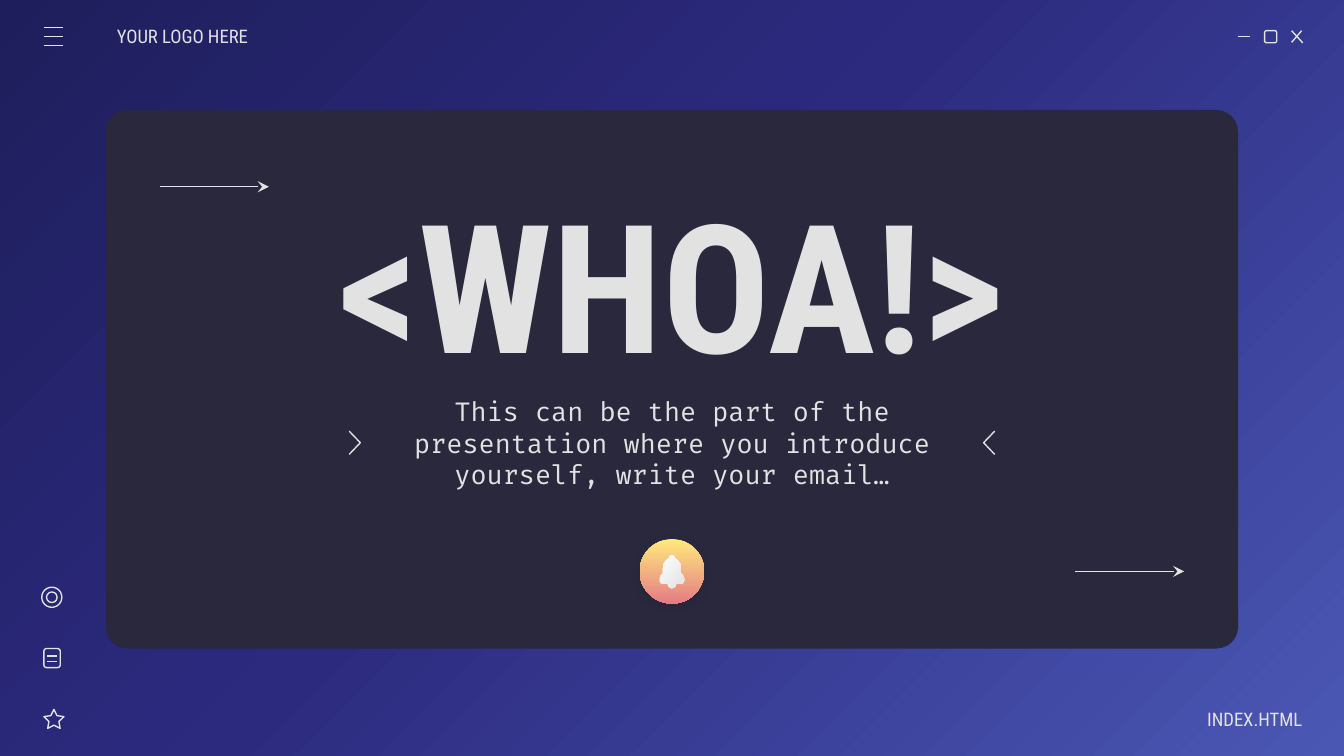
"""Build the "WHOA!" title slide with its window frame and icons."""
from copy import deepcopy

from lxml.etree import Element, SubElement
from pptx import Presentation
from pptx.dml.color import RGBColor
from pptx.enum.shapes import MSO_CONNECTOR as Link, MSO_SHAPE as Kind
from pptx.enum.text import MSO_ANCHOR as Anchor, PP_ALIGN as Align
from pptx.oxml.ns import qn
from pptx.util import Cm, Pt

LIGHT, DARK = "E2E2E2", "29283D"
SANS, MONO = "Roboto Condensed", "Fira Code"
BACK = [(0, "1E1E5C"), (0.46, "2C2A7F"), (1, "4A58B4")]
GLOW = [(0, "FFEA7D"), (1, "E57C85")]
STEEL = [(0, "FFFFFF"), (1, LIGHT)]

TEXTS = [
    ("YOUR LOGO HERE", (2.21, 0.3, 2.97, 0.76), dict(left=0)),
    ("INDEX.HTML", (21.64, 13.21, 2.97, 0.76), dict(right=0, align=Align.RIGHT)),
    ("<WHOA!>", (4.98, 3.53, 15.42, 3.61),
     dict(size=96, bold=True, align=Align.CENTER)),
    ("This can be the part of the presentation where you introduce "
     "yourself, write your email…", (6.81, 7.14, 11.79, 2.46),
     dict(size=14, font=MONO, align=Align.CENTER)),
]
ICONS = [
    (Kind.ROUNDED_RECTANGLE, (23.9, 0.58, 0.23, 0.23)),
    (Kind.STAR_5_POINT, (0.83, 13.41, 0.38, 0.36)),
    (Kind.ROUNDED_RECTANGLE, (0.83, 12.26, 0.31, 0.36)),
    (Kind.OVAL, (0.79, 11.1, 0.38, 0.38)),
    (Kind.OVAL, (0.88, 11.19, 0.2, 0.2)),
]
CLOSE = [(23.39, 0.69, 23.62, 0.69), (24.41, 0.58, 24.62, 0.81),
         (24.6, 0.58, 24.41, 0.8)]
MENU = [(0.83, y, 1.2, y) for y in (0.52, 0.69, 0.86)]
NOTE = [(0.89, y, 1.07, y) for y in (12.4, 12.5)]
ARROWS = [(3.02, 3.53, 5.08, 3.53), (20.32, 10.8, 22.38, 10.8)]
CHEVRONS = [(6.6, 6.81), (18.8, 18.59)]
MID = 12.7
BELL = [(0, 10.49), (0.03, 10.5), (0.05, 10.53), (0.06, 10.55), (0.12, 10.6),
        (0.16, 10.66), (0.17, 10.74), (0.17, 10.84), (0.21, 10.88),
        (0.23, 10.94), (0.23, 10.98), (0.22, 11.01), (0.2, 11.03)]
CLAP = [(0.08, 11.05), (0.06, 11.09), (0.03, 11.11), (0, 11.12)]

deck = Presentation()
deck.slide_width, deck.slide_height = Cm(25.4), Cm(14.29)
slide = deck.slides.add_slide(deck.slide_layouts[6])
shapes = slide.shapes


def tint(code):
    return RGBColor.from_string(code)


def blend(fill, stops):
    for stop, (place, code) in zip(fill.gradient_stops, stops):
        stop.position, stop.color.rgb = place, tint(code)


def ramp(fill, stops, angle):
    fill.gradient()
    blend(fill, stops)
    fill.gradient_angle = 360 - angle


def backdrop():
    fill = slide.background.fill
    fill.gradient()
    root = slide._element
    marks = next(root.iter(qn("a:gsLst")))
    marks.append(deepcopy(marks[-1]))
    blend(fill, BACK)
    lin = next(root.iter(qn("a:lin")))
    ring = Element(qn("a:path"), path="circle")
    SubElement(ring, qn("a:fillToRect"), r="100000", b="100000")
    lin.getparent().replace(lin, ring)


def stroke(line):
    line.color.rgb, line.width = tint(LIGHT), Pt(0.75)


def outline(shape):
    shape.shadow.inherit = False
    shape.fill.background()
    stroke(shape.line)


def solid(kind, box):
    shape = shapes.add_shape(kind, *map(Cm, box))
    shape.shadow.inherit = False
    shape.line.fill.background()
    return shape


def rule(ends, arrow=False):
    link = shapes.add_connector(Link.STRAIGHT, *map(Cm, ends))
    stroke(link.line)
    props = link._element.spPr
    if arrow:
        SubElement(props.find(qn("a:ln")), qn("a:tailEnd"), type="stealth")
    SubElement(props, qn("a:effectLst"))


def trace(*paths, close=True):
    paths = [[(Cm(x), Cm(y)) for x, y in path] for path in paths]
    pen = shapes.build_freeform(*paths[0][0])
    for i, path in enumerate(paths):
        if i:
            pen.move_to(*path[0])
        pen.add_line_segments(path[1:], close=close)
    shape = pen.convert_to_shape()
    shape.shadow.inherit = False
    return shape


def mirror(half):
    right = [(MID + x, y) for x, y in half]
    return right + [(MID - x, y) for x, y in reversed(half)]


def write(text, box, size=10, font=SANS, bold=False, align=Align.LEFT,
          left=0.25, right=0.25):
    frame = shapes.add_textbox(*map(Cm, box)).text_frame
    frame.word_wrap, frame.vertical_anchor = True, Anchor.MIDDLE
    frame.margin_left, frame.margin_right = Cm(left), Cm(right)
    frame.margin_top = frame.margin_bottom = Cm(0.25)
    para = frame.paragraphs[0]
    para.alignment = align
    run = para.add_run()
    run.text = text
    face = run.font
    face.name, face.size, face.bold = font, Pt(size), bold
    face.color.rgb = tint(LIGHT)


def badge():
    disc = solid(Kind.OVAL, (12.09, 10.19, 1.22, 1.22))
    ramp(disc.fill, GLOW, 90)
    glow = SubElement(disc._element.spPr.find(qn("a:effectLst")),
                      qn("a:outerShdw"), blurRad=str(Pt(4.5)),
                      dist=str(Pt(1.5)), dir="5400000", rotWithShape="0")
    hue = SubElement(glow, qn("a:srgbClr"), val="1E1E2C")
    SubElement(hue, qn("a:alpha"), val="30000")
    bell = trace(mirror(BELL), mirror(CLAP))
    ramp(bell.fill, STEEL, 45)
    bell.line.fill.background()


def main():
    backdrop()
    panel = solid(Kind.ROUNDED_RECTANGLE, (2, 2.08, 21.4, 10.18))
    panel.adjustments[0] = 0.04
    panel.fill.solid()
    panel.fill.fore_color.rgb = tint(DARK)
    for kind, box in ICONS:
        icon = shapes.add_shape(kind, *map(Cm, box))
        outline(icon)
        if kind == Kind.STAR_5_POINT:
            icon.adjustments[0] = 0.25
    for ends in CLOSE + MENU + NOTE:
        rule(ends)
    for text, box, look in TEXTS:
        write(text, box, **look)
    badge()
    for base, tip in CHEVRONS:
        outline(trace([(base, 8.15), (tip, 8.37), (base, 8.59)], close=False))
    for ends in ARROWS:
        rule(ends, arrow=True)
    deck.save("out.pptx")


if __name__ == "__main__":
    main()
